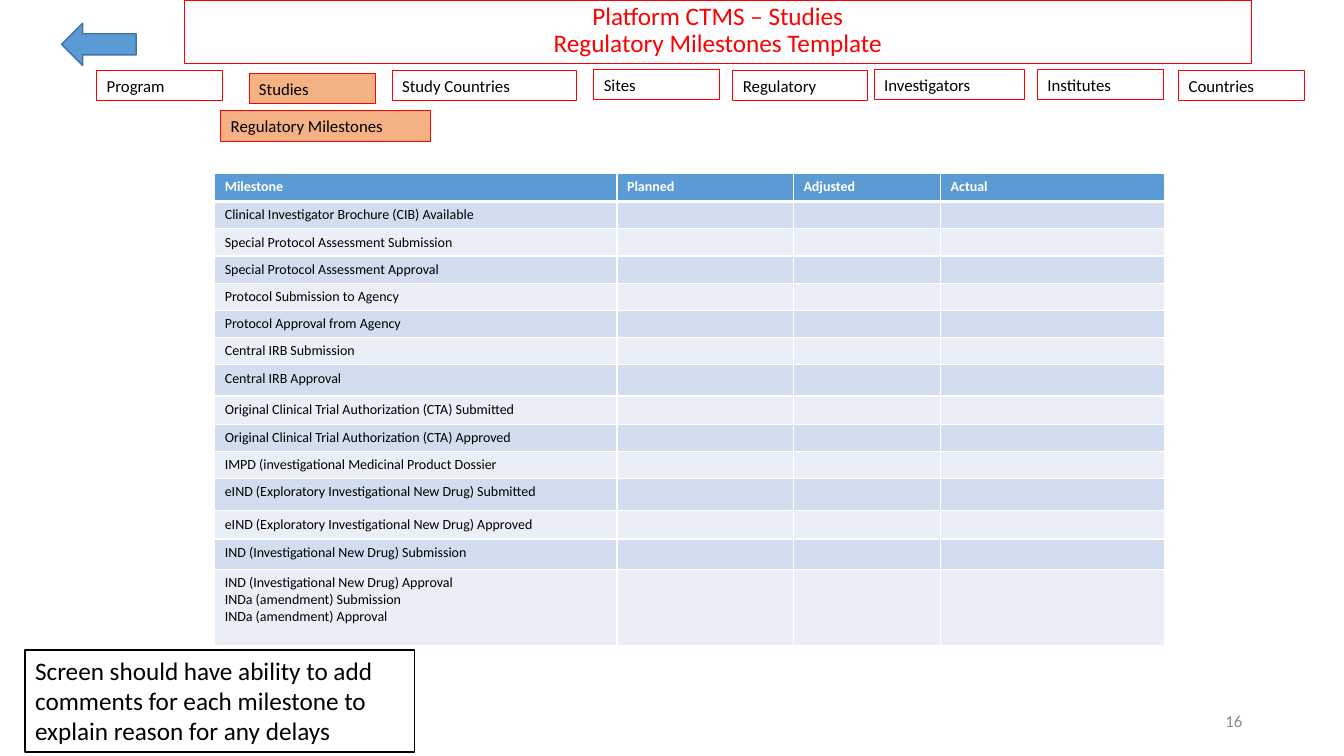
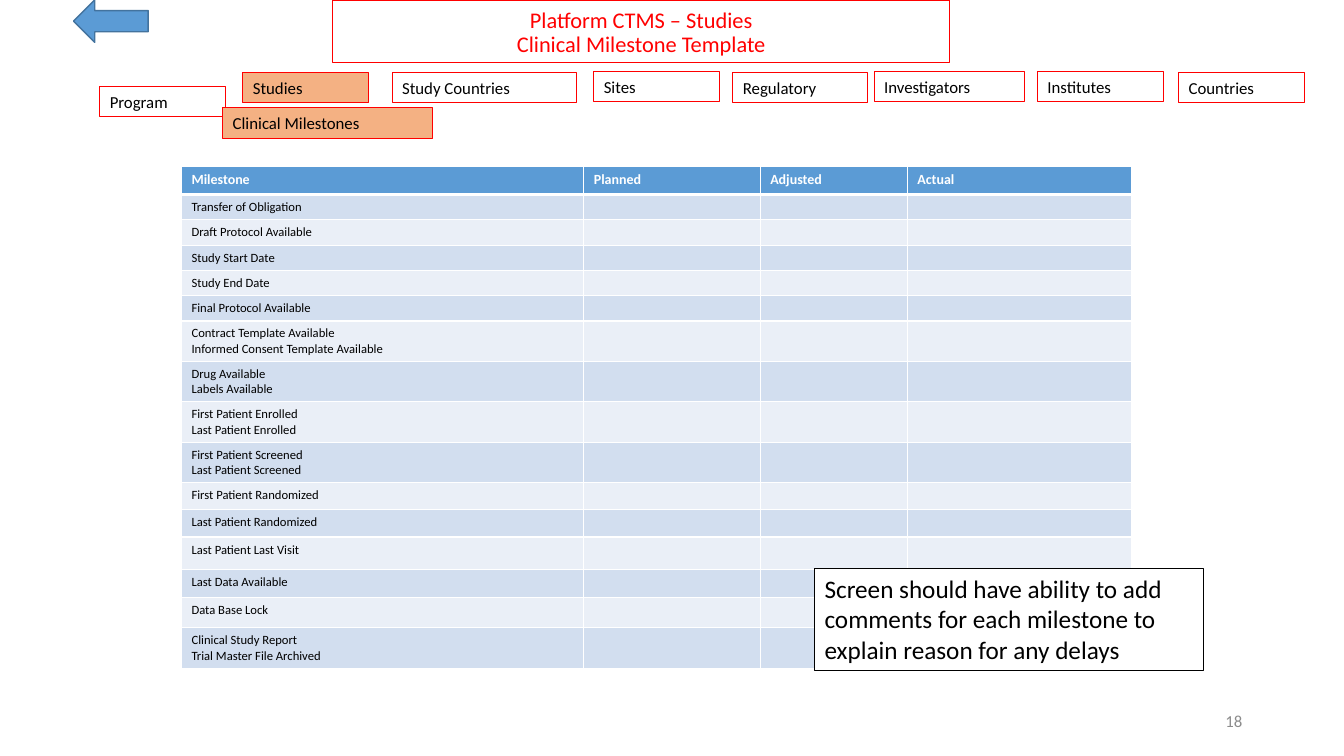
from lxml.etree import SubElement
from pptx import Presentation
from pptx.dml.color import RGBColor
from pptx.enum.shapes import MSO_SHAPE
from pptx.enum.text import MSO_ANCHOR, MSO_AUTO_SIZE, PP_ALIGN
from pptx.oxml.ns import qn
from pptx.util import Inches, Pt

FONT = "Calibri"
COLORS = {
    "red": "FF0000", "orange": "F4B183", "blue": "5B9BD5", "blue_line": "43739E",
    "band_dark": "D2DEEF", "band_light": "EAEFF7",
    "white": "FFFFFF", "black": "000000", "gray": "8C8C8C",
}
NOTE = ("Screen should have ability to add comments for each milestone "
        "to explain reason for any delays")
NOTE_SIZE = (3.86, 1.01)
ARROW_SIZE = (0.74, 0.42)
TAB_HEIGHT = 0.3
SUBTAB_WIDTH = 2.08
ACTIVE_TAB = "Studies"
TABS = [
    ("Study Countries", 3.89, 1.83, 0), ("Sites", 5.89, 1.25, -0.01),
    ("Regulatory", 7.27, 1.33, 0), ("Investigators", 8.67, 1.49, -0.01),
    ("Institutes", 10.29, 1.25, -0.01), ("Countries", 11.69, 1.25, 0),
]
HEADERS = ["Milestone", "Planned", "Adjusted", "Actual"]
COLUMN_WIDTHS = [3.99, 1.75, 1.46, 2.22]
HEADER_SIZE, HEADER_HEIGHT = 10, 0.28

SLIDES = [
    {
        "title": ["Platform CTMS – Studies", "Regulatory Milestones Template"],
        "title_box": (1.83, 0, 10.58, 0.63), "title_size": 18,
        "number": "16", "arrow": (0.61, 0.23),
        "program": (0.96, 0.7), "studies": (2.47, 0.73), "tabs_top": 0.7,
        "subtab": ("Regulatory Milestones", 2.19, 1.1),
        "table": (2.13, 1.72), "note": (0.25, 6.45), "body_size": 10,
        "rows": [
            (0.27, ["Clinical Investigator Brochure (CIB) Available"]),
            (0.27, ["Special Protocol Assessment Submission"]),
            (0.27, ["Special Protocol Assessment Approval"]),
            (0.27, ["Protocol Submission to Agency"]),
            (0.27, ["Protocol Approval from Agency"]),
            (0.27, ["Central IRB Submission"]),
            (0.31, ["Central IRB Approval"]),
            (0.28, ["Original Clinical Trial Authorization (CTA) Submitted"]),
            (0.27, ["Original Clinical Trial Authorization (CTA) Approved"]),
            (0.27, ["IMPD (investigational Medicinal Product Dossier"]),
            (0.32, ["eIND (Exploratory Investigational New Drug) Submitted"]),
            (0.28, ["eIND (Exploratory Investigational New Drug) Approved"]),
            (0.3, ["IND (Investigational New Drug) Submission"]),
            (0.76, ["IND (Investigational New Drug) Approval",
                    "INDa (amendment) Submission", "INDa (amendment) Approval"]),
        ],
    },
    {
        "title": ["Platform CTMS – Studies", "Clinical Milestone Template"],
        "title_box": (3.3, 0, 6.12, 0.62), "title_size": 16,
        "number": "18", "arrow": (0.73, 0),
        "program": (0.99, 0.86), "studies": (2.41, 0.72), "tabs_top": 0.72,
        "subtab": ("Clinical Milestones", 2.21, 1.07),
        "table": (1.8, 1.65), "note": (8.08, 5.64), "body_size": 9,
        "rows": [
            (0.25, ["Transfer of Obligation"]),
            (0.25, ["Draft Protocol Available"]),
            (0.25, ["Study Start Date"]),
            (0.25, ["Study End Date"]),
            (0.25, ["Final Protocol Available"]),
            (0.4, ["Contract Template Available", "Informed Consent Template Available"]),
            (0.4, ["Drug Available", "Labels Available"]),
            (0.4, ["First Patient Enrolled", "Last Patient Enrolled"]),
            (0.4, ["First Patient Screened", "Last Patient Screened"]),
            (0.27, ["First Patient Randomized"]),
            (0.27, ["Last Patient Randomized"]),
            (0.32, ["Last Patient Last Visit"]),
            (0.28, ["Last Data Available"]),
            (0.3, ["Data Base Lock"]),
            (0.39, ["Clinical Study Report", "Trial Master File Archived"]),
        ],
    },
]


def rgb(name):
    return RGBColor.from_string(COLORS[name])


def add_run(p, text, size, color, bold=False):
    r = p.add_run()
    r.text = text
    r.font.name = FONT
    r.font.size = Pt(size)
    r.font.bold = bold
    r.font.color.rgb = rgb(color)


def outline(sp, color, width):
    sp.line.color.rgb = rgb(color)
    sp.line.width = Pt(width)


def add_box(s, box, fill, line, width, text="", size=12, kind=MSO_SHAPE.RECTANGLE):
    sp = s.shapes.add_shape(kind, *map(Inches, box))
    sp.shadow.inherit = False
    if fill:
        sp.fill.solid()
        sp.fill.fore_color.rgb = rgb(fill)
    else:
        sp.fill.background()
    outline(sp, line, width)
    if text:
        tf = sp.text_frame
        tf.word_wrap = True
        tf.vertical_anchor = MSO_ANCHOR.TOP
        p = tf.paragraphs[0]
        p.alignment = PP_ALIGN.LEFT
        add_run(p, text, size, "black")


def add_title(s, data):
    sp = s.shapes.title
    sp.left, sp.top, sp.width, sp.height = map(Inches, data["title_box"])
    outline(sp, "red", 0.75)
    tf = sp.text_frame
    tf.word_wrap = True
    tf.auto_size = MSO_AUTO_SIZE.NONE
    tf.vertical_anchor = MSO_ANCHOR.BOTTOM
    p = tf.paragraphs[0]
    p.alignment = PP_ALIGN.CENTER
    p.line_spacing = 0.9
    for i, line in enumerate(data["title"]):
        if i:
            p.add_line_break()
        add_run(p, line, data["title_size"], "red")


def add_number(s, number):
    tf = s.shapes.add_textbox(*map(Inches, (9.42, 6.95, 3, 0.4))).text_frame
    tf.word_wrap = True
    tf.vertical_anchor = MSO_ANCHOR.MIDDLE
    p = tf.paragraphs[0]
    p.alignment = PP_ALIGN.RIGHT
    add_run(p, number, 12, "gray")


def add_tabs(s, data):
    tabs = [("Program", *data["program"], 1.25), (ACTIVE_TAB, *data["studies"], 1.25)]
    tabs += [(label, left, data["tabs_top"] + shift, width)
             for label, left, width, shift in TABS]
    tabs.append((*data["subtab"], SUBTAB_WIDTH))
    for label, left, top, width in tabs:
        active = label in (ACTIVE_TAB, data["subtab"][0])
        add_box(s, (left, top, width, TAB_HEIGHT), "orange" if active else None,
                "red", 0.75, label)


def set_borders(cell, bottom):
    tcPr = cell._tc.get_or_add_tcPr()
    for side, width in (("L", 1), ("R", 1), ("T", 1), ("B", bottom)):
        ln = SubElement(tcPr, qn(f"a:ln{side}"), w=str(Pt(width)))
        fill = SubElement(ln, qn("a:solidFill"))
        SubElement(fill, qn("a:srgbClr"), val=COLORS["white"])


def fill_cell(cell, lines, size, color, fill, bold, bottom):
    set_borders(cell, bottom)
    cell.fill.solid()
    cell.fill.fore_color.rgb = rgb(fill)
    tf = cell.text_frame
    for i, line in enumerate(lines):
        p = tf.add_paragraph() if i else tf.paragraphs[0]
        add_run(p, line, size, color, bold)
    if not lines:
        SubElement(tf.paragraphs[0]._p, qn("a:endParaRPr"), sz=str(size * 100))


def add_milestones(s, data):
    rows = data["rows"]
    heights = [HEADER_HEIGHT] + [height for height, _ in rows]
    box = (*data["table"], sum(COLUMN_WIDTHS), sum(heights))
    table = s.shapes.add_table(len(heights), len(HEADERS), *map(Inches, box)).table
    for column, width in zip(table.columns, COLUMN_WIDTHS):
        column.width = Inches(width)
    for row, height in zip(table.rows, heights):
        row.height = Inches(height)
    for c, header in enumerate(HEADERS):
        fill_cell(table.cell(0, c), [header], HEADER_SIZE, "white", "blue", True, 3)
        for r, (_, lines) in enumerate(rows, 1):
            band = "band_dark" if r % 2 else "band_light"
            fill_cell(table.cell(r, c), [] if c else lines,
                      data["body_size"], "black", band, False, 1)


def main():
    prs = Presentation()
    prs.slide_width, prs.slide_height = Inches(13.33), Inches(7.5)
    for data in SLIDES:
        s = prs.slides.add_slide(prs.slide_layouts[5])
        add_title(s, data)
        add_number(s, data["number"])
        add_box(s, (*data["arrow"], *ARROW_SIZE), "blue", "blue_line", 1,
                kind=MSO_SHAPE.LEFT_ARROW)
        add_tabs(s, data)
        add_milestones(s, data)
        add_box(s, (*data["note"], *NOTE_SIZE), "white", "black", 1, NOTE, 18)
    prs.save("out.pptx")


if __name__ == "__main__":
    main()
